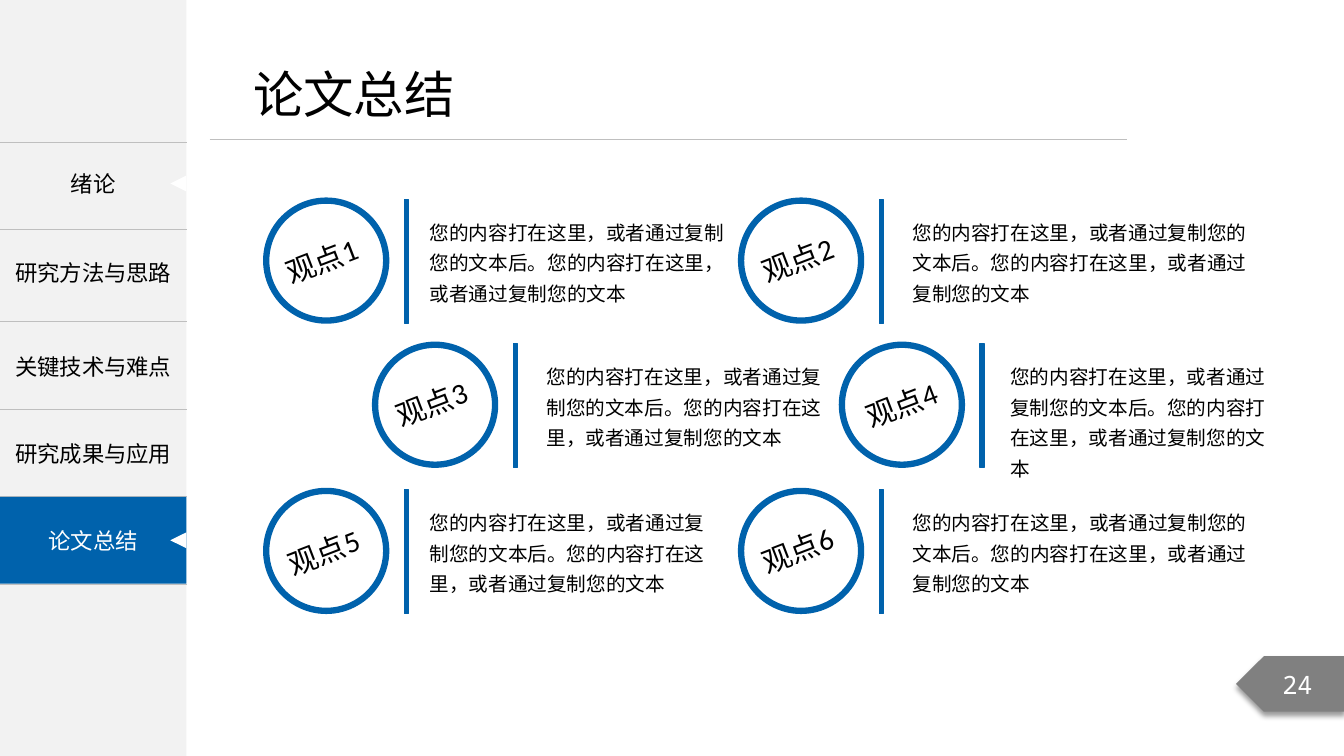
from pptx import Presentation
from pptx.dml.color import RGBColor
from pptx.enum.shapes import MSO_CONNECTOR, MSO_SHAPE as SHAPE
from pptx.enum.text import MSO_ANCHOR as ANCHOR, MSO_AUTO_SIZE as FIT, PP_ALIGN as ALIGN
from pptx.oxml import parse_xml
from pptx.oxml.ns import nsdecls, qn
from pptx.util import Inches, Pt

TITLE = "论文总结"
PAGE = "24"
MENU_CELLS = ["", "", "关键技术与难点", "研究成果与应用", ""]
MENU_LABELS = [("绪论", 1.39), ("研究方法与思路", 2.27)]
BODY = "您的内容打在这里，或者通过复制您的文本后。您的内容打在这里，或者通过复制您的文本"
POINTS = [
    {"label": "观点1", "row": 0, "left": 2.64, "shift": (-0.06, 0.37), "text": (4.17, 3.18)},
    {"label": "观点2", "row": 0, "left": 7.35, "shift": (-0.05, 0.36), "text": (8.96, 3.67)},
    {"label": "观点3", "row": 1, "left": 3.72, "shift": (-0.05, 0.36), "text": (5.33, 2.94)},
    {"label": "观点4", "row": 1, "left": 8.35, "shift": (-0.02, 0.37), "text": (9.93, 2.9)},
    {"label": "观点5", "row": 2, "left": 2.64, "shift": (-0.04, 0.38), "text": (4.17, 3)},
    {"label": "观点6", "row": 2, "left": 7.35, "shift": (-0.05, 0.36), "text": (8.96, 3.67)},
]
THEME = {
    "blue": "0062AC", "panel": "F2F2F2", "rule": "BFBFBF", "tag": "808080",
    "black": "000000", "white": "FFFFFF",
    "cjk": "Noto Sans CJK SC", "latin": "Calibri", "mono": "Noto Sans Mono",
    "title": 36, "label": 21, "page": 18, "menu": 16, "body": 14,
}
SIDE_W, TAB_H = 1.85, 0.86
MENU_TOP = 1.41
MENU_ROWS = [0.87, 0.91, 0.87, 0.87, 0.87]
ROW_TOPS, CIRCLE = [1.99, 3.42, 4.87], 1.19


def color(name):
    return RGBColor.from_string(THEME[name])


def box(*lengths):
    return [Inches(v) for v in lengths]


def write(tf, text, size, ink="black", font="cjk", align=ALIGN.CENTER, spacing=None):
    p = tf.paragraphs[0]
    p.alignment = align
    p.line_spacing = spacing
    r = p.add_run()
    r.text = text
    for key, value in {"size": Pt(THEME[size]), "name": THEME[font]}.items():
        setattr(r.font, key, value)
    r.font.color.rgb = color(ink)
    ea = parse_xml(f'<a:ea {nsdecls("a")} typeface="{THEME["cjk"]}"/>')
    r.font._element.find(qn("a:latin")).addnext(ea)


def frame(tf, **values):
    defaults = {"word_wrap": True, "auto_size": FIT.NONE, "vertical_anchor": ANCHOR.MIDDLE}
    for key, value in {**defaults, **values}.items():
        setattr(tf, key, value)
    return tf


def add_shape(shapes, kind, at, fill, line=None, width=0, rotation=0):
    s = shapes.add_shape(kind, *box(*at))
    s.shadow.inherit = False
    s.rotation = rotation
    s.fill.solid()
    s.fill.fore_color.rgb = color(fill)
    if line:
        s.line.color.rgb = color(line)
        s.line.width = Pt(width)
    else:
        s.line.fill.background()
    return s


def set_borders(cell):
    cell.fill.background()
    tcPr = cell._tc.get_or_add_tcPr()
    rule = f'<a:solidFill><a:srgbClr val="{THEME["rule"]}"/></a:solidFill>'
    sides = {"lnL": "<a:noFill/>", "lnR": "<a:noFill/>", "lnT": rule, "lnB": rule}
    for i, (side, paint) in enumerate(sides.items()):
        tcPr.insert(i, parse_xml(f'<a:{side} {nsdecls("a")} w="12700">{paint}</a:{side}>'))


def add_menu(shapes):
    add_shape(shapes, SHAPE.RECTANGLE, (0, 0, SIDE_W, 7.5), "panel")
    s = shapes.add_table(len(MENU_ROWS), 1, *box(0, MENU_TOP, SIDE_W, sum(MENU_ROWS)))
    table = s.table
    table.first_row = table.horz_banding = False
    for row, height, chapter in zip(table.rows, MENU_ROWS, MENU_CELLS):
        row.height = Inches(height)
        cell = row.cells[0]
        set_borders(cell)
        cell.vertical_anchor = ANCHOR.MIDDLE
        if chapter:
            write(cell.text_frame, chapter, "menu")
    for chapter, top in MENU_LABELS:
        s = shapes.add_textbox(*box(0, top, SIDE_W, TAB_H))
        write(frame(s.text_frame), chapter, "menu")
    s = add_shape(shapes, SHAPE.RECTANGLE, (0, 4.93, SIDE_W, TAB_H), "blue")
    write(frame(s.text_frame), TITLE, "menu", "white")
    for top in (1.74, 5.28):
        add_shape(shapes, SHAPE.ISOSCELES_TRIANGLE, (1.69, top, 0.16, 0.16), "white", rotation=270)


def add_heading(shapes):
    s = shapes.title
    s.left, s.top, s.width, s.height = box(2.41, 0.57, 2.22, 0.71)
    write(frame(s.text_frame, word_wrap=False), TITLE, "title", align=ALIGN.LEFT)
    line = shapes.add_connector(MSO_CONNECTOR.STRAIGHT, *box(2.08, 1.38, 11.18, 1.38))
    line.line.color.rgb = color("rule")
    line.line.width = Pt(0.5)
    line._element.spPr.append(parse_xml(f'<a:effectLst {nsdecls("a")}/>'))


def add_page_tag(shapes):
    s = add_shape(shapes, SHAPE.PENTAGON, (12.26, 6.51, 1.08, 0.55), "tag")
    spPr = s._element.spPr
    spPr.find(qn("a:xfrm")).set("flipH", "1")
    spPr.find(qn("a:effectLst")).append(parse_xml(
        f'<a:outerShdw {nsdecls("a")} blurRad="50800" dist="38100" dir="5400000">'
        f'<a:srgbClr val="{THEME["black"]}"><a:alpha val="40000"/></a:srgbClr></a:outerShdw>'))
    write(frame(s.text_frame), PAGE, "page", "white", "mono")


def add_point(shapes, label, row, left, shift, text):
    top = ROW_TOPS[row]
    dx, dy = shift
    badge = shapes.add_group_shape().shapes
    add_shape(badge, SHAPE.OVAL, (left, top, CIRCLE, CIRCLE), "white", "blue", 4.5)
    s = badge.add_textbox(*box(left + dx, top + dy, 1.22, 0.45))
    s.rotation = 338.9
    write(frame(s.text_frame, vertical_anchor=ANCHOR.TOP), label, "label", font="latin")
    add_shape(shapes, SHAPE.RECTANGLE, (left + 1.37, top - 0.01, 0.04, 1.23), "blue", "blue", 0.75)
    text_left, width = text
    s = shapes.add_textbox(*box(text_left, top + 0.09, width, 0.98))
    tf = frame(s.text_frame, vertical_anchor=ANCHOR.TOP, margin_left=Inches(0.09),
               margin_right=Inches(0.09), margin_top=Inches(0.04), margin_bottom=Inches(0.04))
    write(tf, BODY, "body", align=ALIGN.LEFT, spacing=1.3)


def main():
    prs = Presentation()
    prs.slide_width, prs.slide_height = box(13.33, 7.5)
    shapes = prs.slides.add_slide(prs.slide_layouts[5]).shapes
    add_menu(shapes)
    add_heading(shapes)
    add_page_tag(shapes)
    for point in POINTS:
        add_point(shapes, **point)
    prs.save("out.pptx")


if __name__ == "__main__":
    main()
